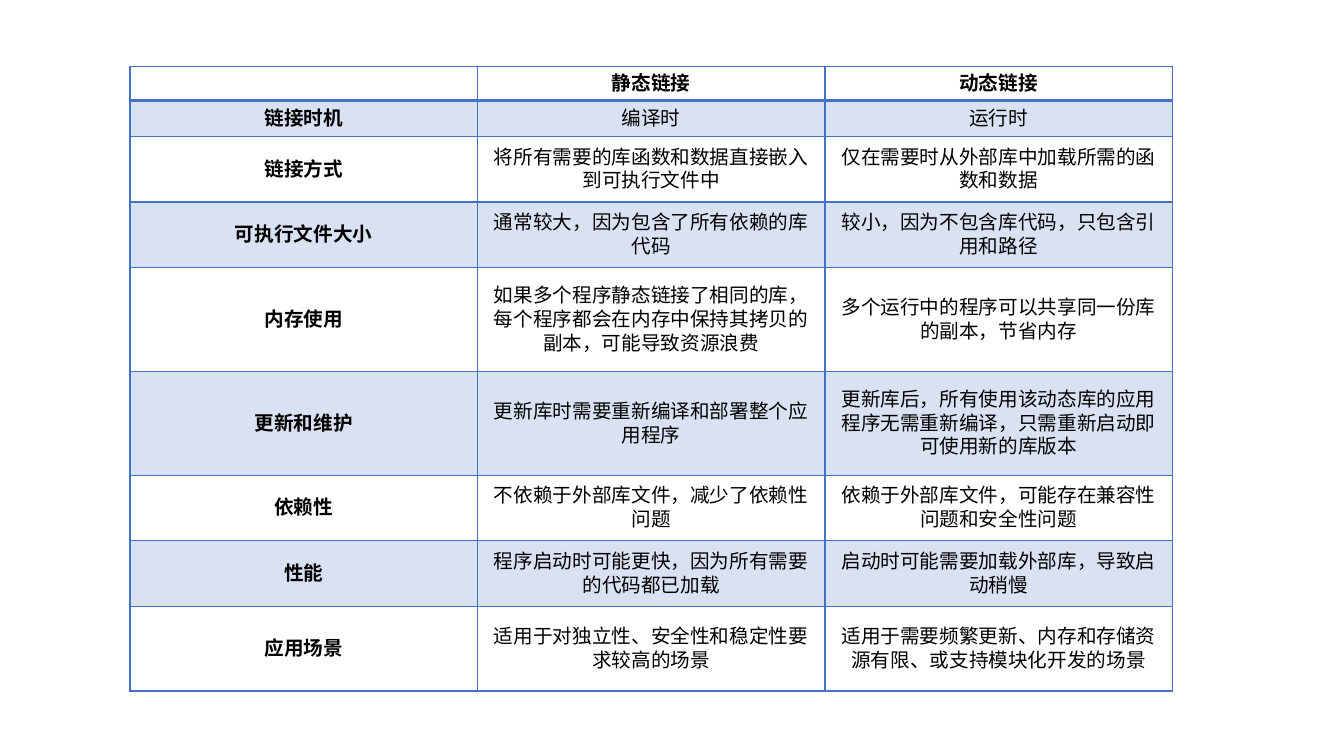
from pptx import Presentation
from pptx.dml.color import RGBColor
from pptx.enum.text import MSO_ANCHOR as Anchor, PP_ALIGN as Align
from pptx.oxml.ns import qn
from pptx.util import Pt
from lxml.etree import SubElement

BLUE = RGBColor(0x44, 0x72, 0xC4)
BLACK = RGBColor(0, 0, 0)

HEIGHTS = [18, 19.5, 46.8, 46.8, 74.2, 74.2, 46.8, 46.8, 60.5]
ROWS = [
    ("", "静态链接", "动态链接"),
    ("链接时机", "编译时", "运行时"),
    ("链接方式", "将所有需要的库函数和数据直接嵌入到可执行文件中",
     "仅在需要时从外部库中加载所需的函数和数据"),
    ("可执行文件大小", "通常较大，因为包含了所有依赖的库代码",
     "较小，因为不包含库代码，只包含引用和路径"),
    ("内存使用", "如果多个程序静态链接了相同的库，每个程序都会在内存中保持其拷贝的副本，可能导致资源浪费",
     "多个运行中的程序可以共享同一份库的副本，节省内存"),
    ("更新和维护", "更新库时需要重新编译和部署整个应用程序",
     "更新库后，所有使用该动态库的应用程序无需重新编译，只需重新启动即可使用新的库版本"),
    ("依赖性", "不依赖于外部库文件，减少了依赖性问题",
     "依赖于外部库文件，可能存在兼容性问题和安全性问题"),
    ("性能", "程序启动时可能更快，因为所有需要的代码都已加载",
     "启动时可能需要加载外部库，导致启动稍慢"),
    ("应用场景", "适用于对独立性、安全性和稳定性要求较高的场景",
     "适用于需要频繁更新、内存和存储资源有限、或支持模块化开发的场景"),
]


class Deck:
    font, size = "Calibri", 14

    def __init__(self, wide, high):
        self.prs = Presentation()
        self.prs.slide_width, self.prs.slide_height = Pt(wide), Pt(high)
        self.slide = self.prs.slides.add_slide(self.prs.slide_layouts[6])

    def table(self, left, top, wide, high, rows, heights):
        frame = self.slide.shapes.add_table(
            len(rows), len(rows[0]), Pt(left), Pt(top), Pt(wide), Pt(high))
        grid = frame.table
        for row, tall in zip(grid.rows, heights):
            row.height = Pt(tall)
        for r, texts in enumerate(rows):
            for c, text in enumerate(texts):
                cell = grid.cell(r, c)
                self.label(cell, text, bold=r == 0 or c == 0)
                if r:
                    cell.vertical_anchor = Anchor.MIDDLE
                    cell.margin_left = cell.margin_right = Pt(10)
                    cell.margin_top = cell.margin_bottom = Pt(4.32)
                # The header rule is shared by the first two rows.
                self.border(cell, top=2 if r == 1 else 1,
                            base=2 if r == 0 else 1)
                self.shade(cell, banded=r % 2 == 1)
        frame.height = Pt(high)

    def label(self, cell, text, bold):
        para = cell.text_frame.paragraphs[0]
        para.alignment = Align.CENTER
        if not text:
            SubElement(para._p, qn("a:endParaRPr"), sz=str(self.size * 100))
            return
        run = para.add_run()
        run.text = text
        font = run.font
        font.name, font.size, font.bold = self.font, Pt(self.size), bold
        font.color.rgb = BLACK
        SubElement(font._element, qn("a:ea"), typeface=self.font)

    def border(self, cell, top, base):
        props = cell._tc.get_or_add_tcPr()
        for side, width in zip("LRTB", (1, 1, top, base)):
            line = SubElement(props, qn(f"a:ln{side}"), w=str(Pt(width)))
            fill = SubElement(line, qn("a:solidFill"))
            SubElement(fill, qn("a:srgbClr"), val=str(BLUE))

    def shade(self, cell, banded):
        if not banded:
            cell.fill.background()
            return
        cell.fill.solid()
        cell.fill.fore_color.rgb = BLUE
        tint = cell._tc.tcPr.find(f"{qn('a:solidFill')}/{qn('a:srgbClr')}")
        SubElement(tint, qn("a:alpha"), val="20000")

    def save(self):
        self.prs.save("out.pptx")


def main():
    deck = Deck(960, 540)
    deck.table(92.9, 47.6, 744.6, 445, ROWS, HEIGHTS)
    deck.save()


if __name__ == "__main__":
    main()
